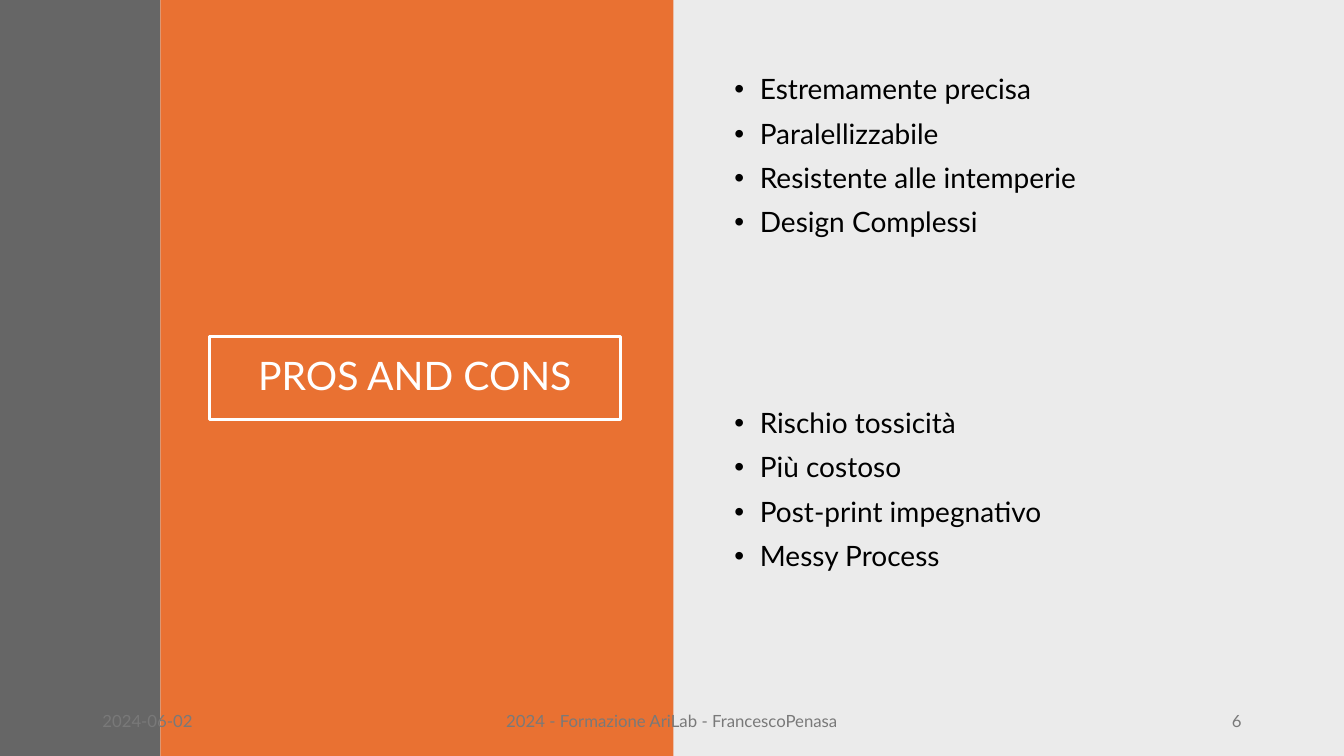
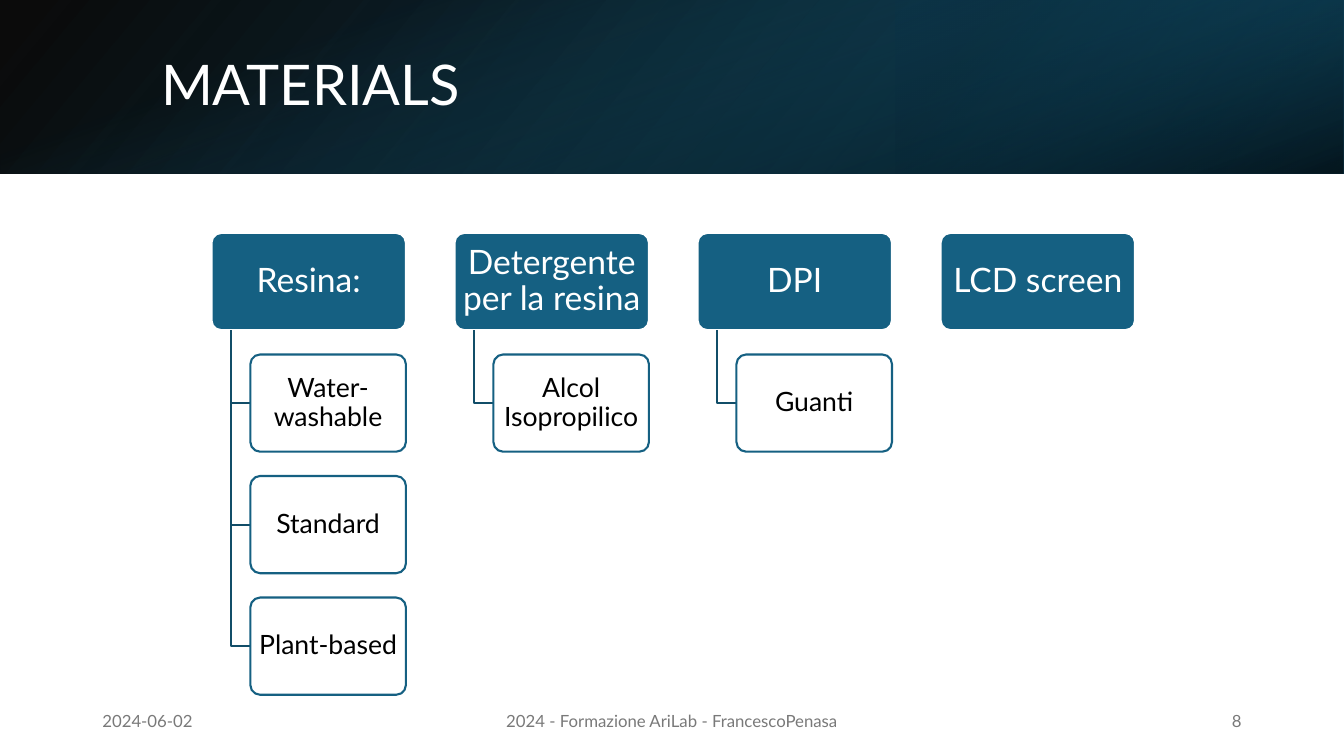
"""Build two training slides: pros and cons, and a tree of materials."""
from dataclasses import dataclass
from typing import NamedTuple

from lxml import etree
from pptx import Presentation
from pptx import util as u
from pptx.dml import color
from pptx.enum import shapes, text
from pptx.oxml import ns

FONT = "Lato"
WHITE, BLACK, GREY, DARK = "FFFFFF", "000000", "797979", "404040"
ORANGE, TEAL, WIRE = "E97132", "156082", "114D68"
WIDE, HIGH = 33.87, 19.05
BAND = 4.37
RECT, ROUND = shapes.MSO_SHAPE.RECTANGLE, shapes.MSO_SHAPE.ROUNDED_RECTANGLE
LEFT, MID, RIGHT = text.PP_ALIGN.LEFT, text.PP_ALIGN.CENTER, text.PP_ALIGN.RIGHT


class Box(NamedTuple):
    left: float
    top: float
    width: float
    height: float


class Stop(NamedTuple):
    hue: str
    alpha: int = 100
    pos: int = 0


class Style(NamedTuple):
    size: float
    hue: str
    align: int = LEFT
    lead: float = 0.9
    pad: tuple[float, float] = (0.25, 0.13)


@dataclass
class Panel:
    box: Box
    stops: list[Stop]
    angle: float = 0
    turn: float = 0
    flip: bool = False


@dataclass
class Branch:
    head: str
    leaves: list[str]


TITLE = Style(40, WHITE)
LABEL = Style(28, WHITE, MID)
BODY = Style(20, BLACK)
HEAD = Style(24, WHITE, MID, pad=(0.13, 0.08))
LEAF = Style(19, BLACK, MID, pad=(0.1, 0.08))

SIDES = [
    Panel(Box(WIDE / 2, 0, WIDE / 2, HIGH), [Stop(BLACK, 8)]),
    Panel(Box(4.04, 0, 12.93, HIGH), [Stop(ORANGE)]),
    Panel(Box(0, 0, 4.04, HIGH), [Stop(DARK, 80)]),
]
BANDS = [
    Panel(Box(0, 0, WIDE, BAND), [Stop(BLACK, 96), Stop("104862", pos=100)], 140, flip=True),
    Panel(Box(WIDE * 2 / 3, 0, WIDE / 3, BAND),
          [Stop("0B3041", 68, 19), Stop(TEAL, 79, 100)], 320, 180, True),
    Panel(Box((WIDE - BAND) / 2, (BAND - WIDE) / 2, BAND, WIDE),
          [Stop(TEAL, 0, 23), Stop(BLACK, 74, 99)], 340, 90),
]
LISTS = [
    ["Estremamente precisa", "Paralellizzabile", "Resistente alle intemperie", "Design Complessi"],
    ["Rischio tossicità", "Più costoso", "Post-print impegnativo", "Messy Process"],
]
TREE = [
    Branch("Resina:", ["Water-washable", "Standard", "Plant-based"]),
    Branch("Detergente per la resina", ["Alcol Isopropilico"]),
    Branch("DPI", ["Guanti"]),
    Branch("LCD screen", []),
]


def rgb(hue: str) -> color.RGBColor:
    return color.RGBColor.from_string(hue)


def cm(box: Box) -> list[u.Cm]:
    return [u.Cm(side) for side in box]


def paint(shape, stops: list[Stop], angle: float = 0) -> None:
    fill = shape.fill
    if len(stops) == 1:
        fill.solid()
        fill.fore_color.rgb = rgb(stops[0].hue)
    else:
        fill.gradient()
        fill.gradient_angle = 360 - angle
        for mark, stop in zip(fill.gradient_stops, stops):
            mark.position = stop.pos / 100
            mark.color.rgb = rgb(stop.hue)
    for node, stop in zip(shape.element.spPr.iter(ns.qn("a:srgbClr")), stops):
        if stop.alpha < 100:
            etree.SubElement(node, ns.qn("a:alpha"), val=str(stop.alpha * 1000))


def edge(shape, hue: str, width: float) -> None:
    shape.line.color.rgb = rgb(hue)
    shape.line.width = u.Pt(width)


def add_panel(slide, panel: Panel) -> None:
    shape = slide.shapes.add_shape(RECT, *cm(panel.box))
    shape.shadow.inherit = False
    shape.rotation = panel.turn
    if panel.flip:
        shape.element.spPr.xfrm.set("flipH", "1")
    paint(shape, panel.stops, panel.angle)
    shape.line.fill.background()


def write(shape, lines: list[str], style: Style, bullet: bool = False) -> None:
    frame = shape.text_frame
    frame.word_wrap = True
    frame.vertical_anchor = text.MSO_ANCHOR.TOP if bullet else text.MSO_ANCHOR.MIDDLE
    frame.margin_left = frame.margin_right = u.Cm(style.pad[0])
    frame.margin_top = frame.margin_bottom = u.Cm(style.pad[1])
    for row, line in enumerate(lines):
        para = frame.add_paragraph() if row else frame.paragraphs[0]
        para.text = line
        para.alignment = style.align
        para.line_spacing = style.lead
        if bullet:
            props = para._p.get_or_add_pPr()
            props.set("marL", str(u.Cm(0.64)))
            props.set("indent", str(-u.Cm(0.64)))
            etree.SubElement(props, ns.qn("a:buFont"), typeface="Arial")
            etree.SubElement(props, ns.qn("a:buChar"), char="•")
            if row:
                para.space_before = u.Pt(10)
        para.font.name = FONT
        para.font.size = u.Pt(style.size)
        para.font.color.rgb = rgb(style.hue)


def add_text(slide, box: Box, lines: list[str], style: Style, bullet: bool = False) -> None:
    write(slide.shapes.add_textbox(*cm(box)), lines, style, bullet)


def add_card(slide, box: Box, label: str, style: Style, stop: Stop, rim: str) -> None:
    card = slide.shapes.add_shape(ROUND, *cm(box))
    card.shadow.inherit = False
    card.adjustments[0] = 0.1
    paint(card, [stop])
    edge(card, rim, 1.5)
    write(card, [label], style)


def add_wire(slide, left: float, top: float, right: float, low: float) -> None:
    pen = slide.shapes.build_freeform(u.Cm(left), u.Cm(top))
    pen.add_line_segments([(u.Cm(left), u.Cm(low)), (u.Cm(right), u.Cm(low))], close=False)
    wire = pen.convert_to_shape()
    wire.shadow.inherit = False
    wire.fill.background()
    edge(wire, WIRE, 1.5)


def add_branch(slide, branch: Branch, box: Box) -> None:
    left, top, width, height = box
    add_card(slide, box, branch.head, HEAD, Stop(TEAL), WHITE)
    for row, leaf in enumerate(branch.leaves, 1):
        spot = Box(left + width * 0.2, top + height * 1.25 * row, width * 0.8, height)
        add_wire(slide, left + width * 0.1, top + height, spot.left, spot.top + height / 2)
        add_card(slide, spot, leaf, LEAF, Stop(WHITE, 90), TEAL)


def add_footer(slide, page: int) -> None:
    parts = [
        (2.33, 7.62, "2024-06-02", LEFT),
        (11.22, 11.43, "2024 - Formazione AriLab - FrancescoPenasa", MID),
        (23.92, 7.62, str(page), RIGHT),
    ]
    for left, width, line, align in parts:
        add_text(slide, Box(left, 17.66, width, 1.01), [line], Style(12, GREY, align, 1))


def add_pros(slide) -> None:
    for panel in SIDES:
        add_panel(slide, panel)
    frame = slide.shapes.add_shape(RECT, *cm(Box(5.28, 8.48, 10.35, 2.1)))
    frame.shadow.inherit = False
    frame.fill.background()
    edge(frame, WHITE, 2)
    write(frame, ["PROS AND CONS"], LABEL)
    for row, lines in enumerate(LISTS):
        add_text(slide, Box(18.26, 1.78 + 8.41 * row, 14.05, 7.09), lines, BODY, True)


def add_tree(slide) -> None:
    for panel in BANDS:
        add_panel(slide, panel)
    add_text(slide, Box(3.81, 0.97, 27.89, 2.44), ["MATERIALS"], TITLE)
    width = 4.9
    for col, branch in enumerate(TREE):
        add_branch(slide, branch, Box(5.33 + width * 1.25 * col, 5.87, width, width / 2))


def main() -> None:
    deck = Presentation()
    deck.slide_width, deck.slide_height = u.Cm(WIDE), u.Cm(HIGH)
    for page, draw in ((6, add_pros), (8, add_tree)):
        slide = deck.slides.add_slide(deck.slide_layouts[6])
        draw(slide)
        add_footer(slide, page)
    deck.save("out.pptx")


if __name__ == "__main__":
    main()
